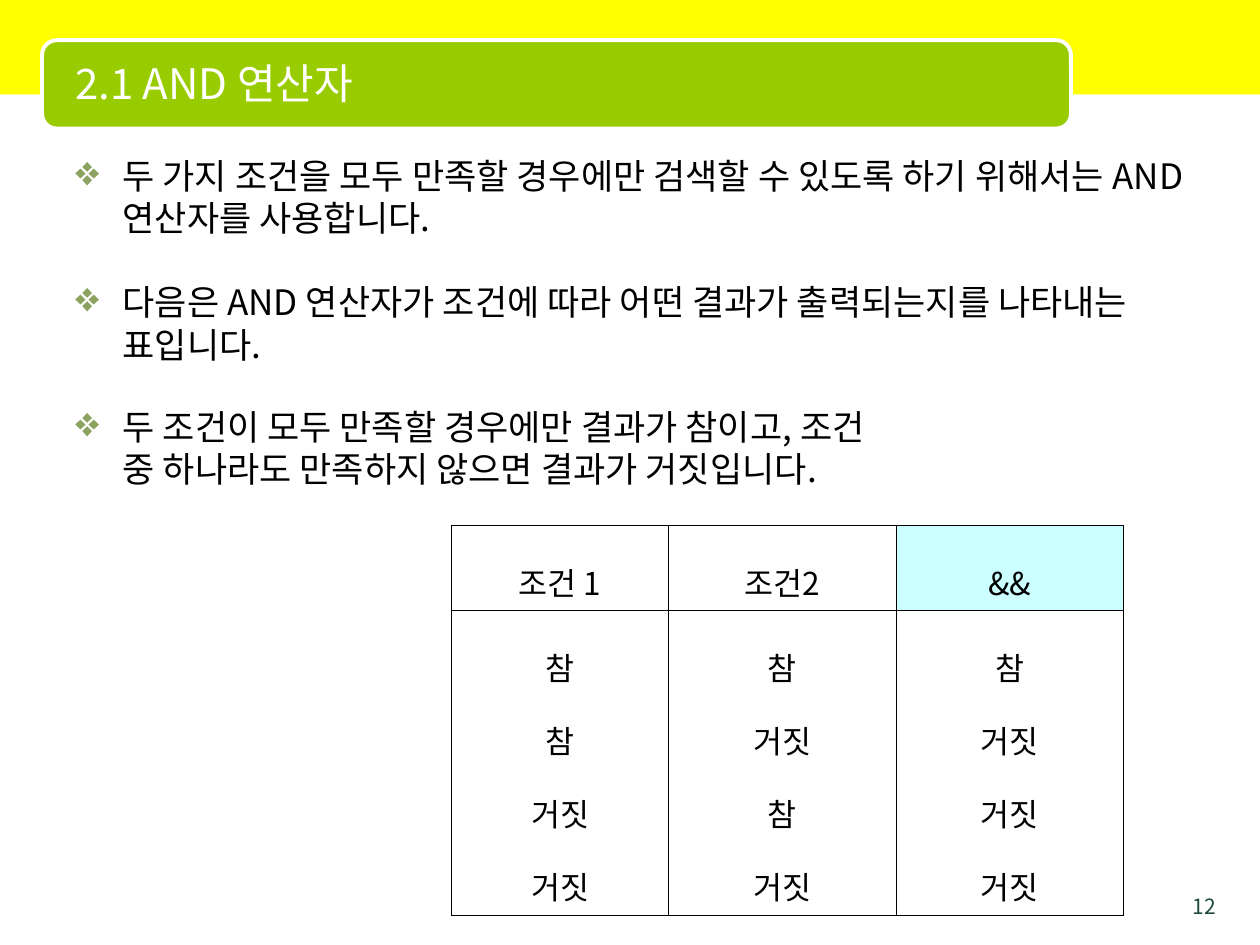
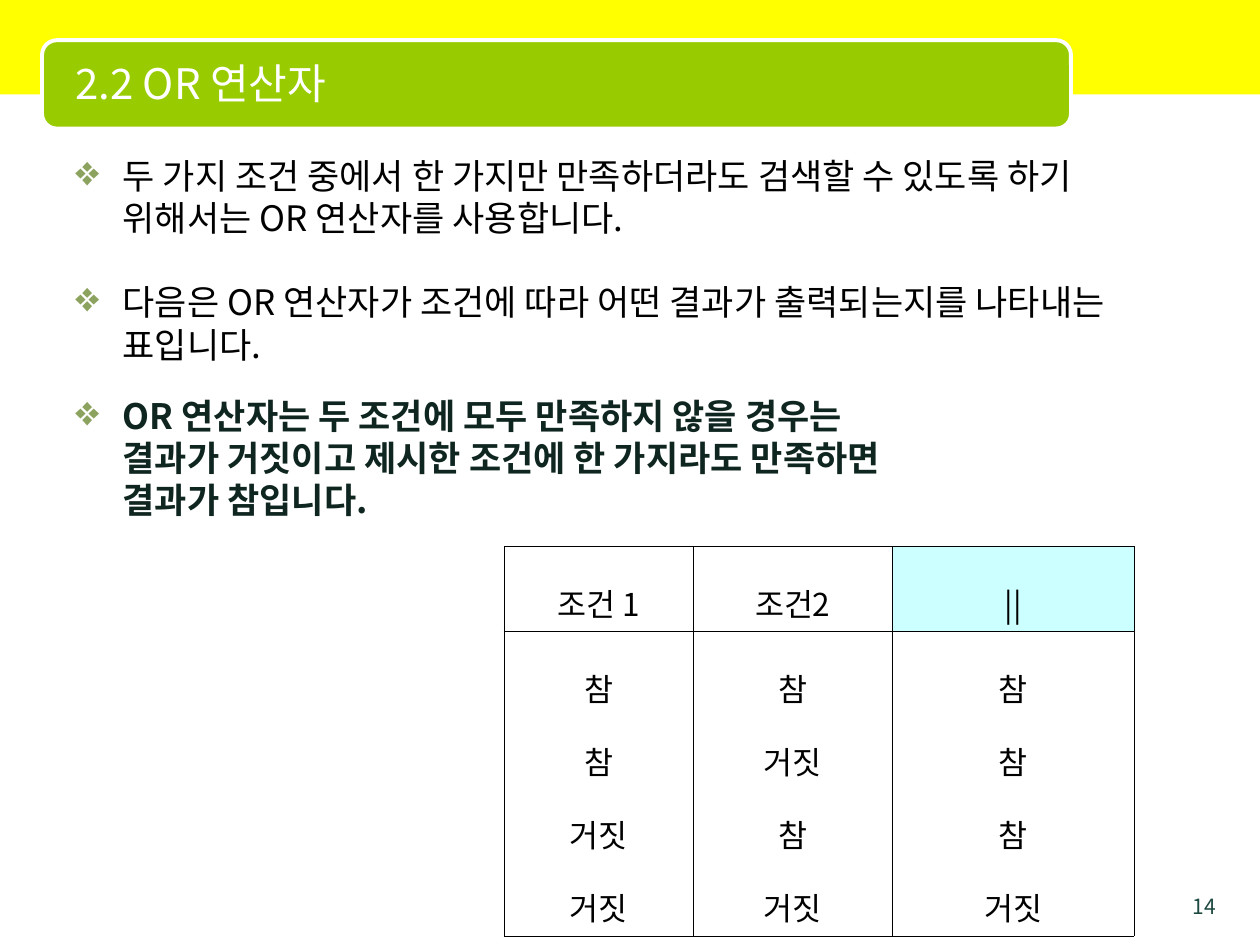
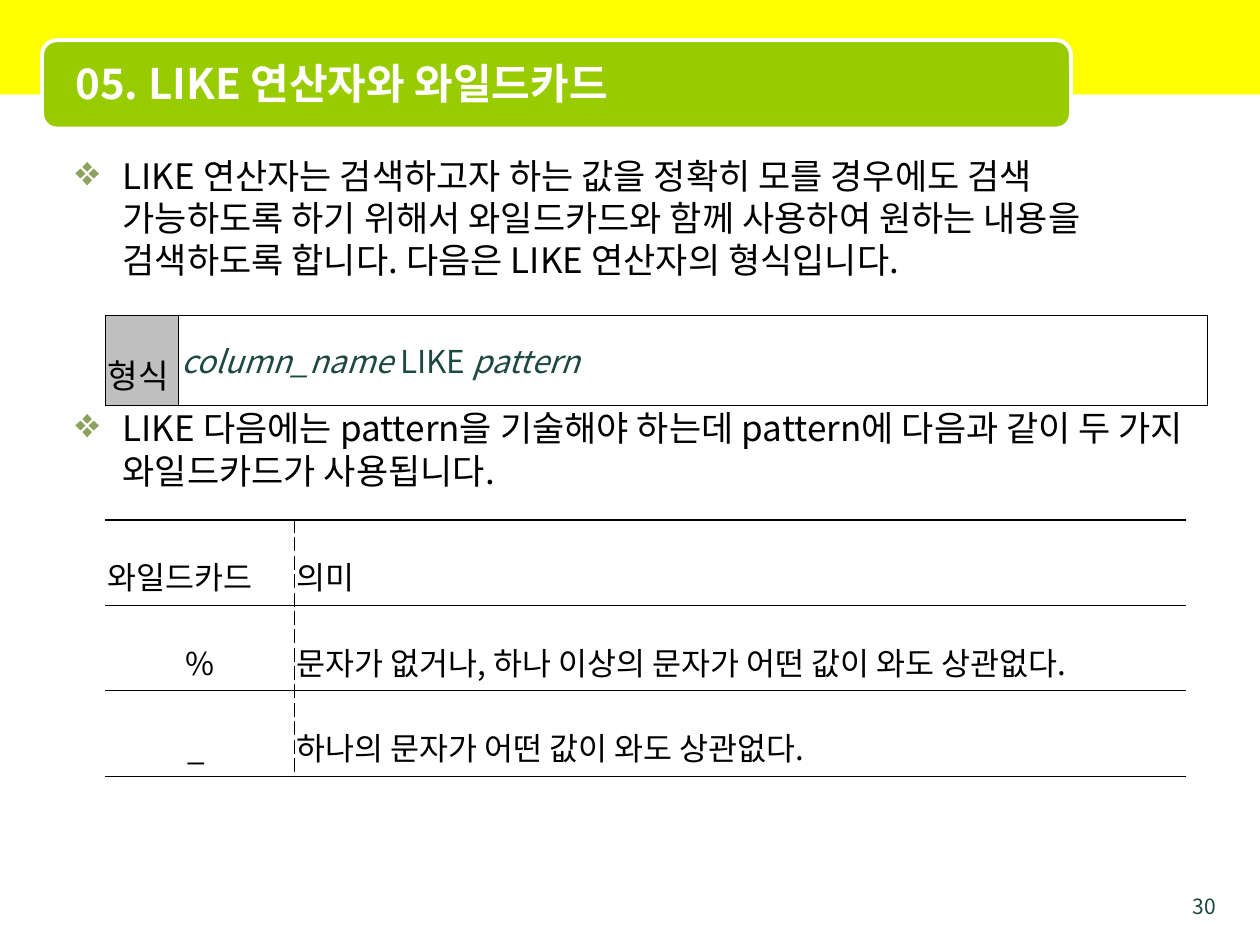
from lxml.etree import SubElement
from pptx import Presentation
from pptx.dml.color import RGBColor
from pptx.enum.shapes import MSO_SHAPE
from pptx.enum.text import MSO_ANCHOR, PP_ALIGN
from pptx.oxml.ns import qn
from pptx.util import Pt

FONT = "Noto Sans CJK KR"
C = {
    "band": "FFFF00", "title_bar": "99CC00", "white": "FFFFFF", "black": "000000",
    "number": "1D4940", "bullet": "8CA35F", "strong": "0E2520",
    "operator": "CCFFFF", "label": "C0C0C0",
}
LEFT, CENTER, RIGHT, JUSTIFY = PP_ALIGN.LEFT, PP_ALIGN.CENTER, PP_ALIGN.RIGHT, PP_ALIGN.JUSTIFY
HAIR, THICK, DASH = (0.11, "solid"), (0.96, "solid"), (0.28, "dash")
ROW, TALL_ROW = 48.8, 174.2  # heights that hold one and four lines of cell text
T, F = "참", "거짓"
CONDITIONS = [[T, T, F, F], [T, F, T, F]]


# ---- Content ----
# A cell is (lines, alignment, fill, size); a line is a list of (text, italic) runs.
def cell(lines, align=CENTER, fill=None, size=18):
    lines = [lines] if isinstance(lines, str) else lines
    return [[(x, False)] if isinstance(x, str) else x for x in lines], align, fill, size


def truth_table(left, top, cols, operator, results):
    head = [cell("조건 1"), cell("조건2"), cell(operator, fill="operator")]
    return dict(left=left, top=top, cols=cols, heights=[ROW, TALL_ROW],
                rows=[head, [cell(v) for v in CONDITIONS + [results]]], grid=True)


WILDCARDS = [
    ("와일드카드", "의미"),
    ("%", "문자가 없거나, 하나 이상의 문자가 어떤 값이 와도 상관없다."),
    ("_ ", "하나의 문자가 어떤 값이 와도 상관없다."),
]

SLIDES = [
    dict(
        number="12", title="2.1 AND 연산자",
        blocks=[
            dict(top=85, width=648, texts=[
                "두 가지 조건을 모두 만족할 경우에만 검색할 수 있도록 하기 위해서는 AND 연산자를 사용합니다.",
                "다음은 AND 연산자가 조건에 따라 어떤 결과가 출력되는지를 나타내는 표입니다."]),
            dict(top=228, width=486, texts=[
                "두 조건이 모두 만족할 경우에만 결과가 참이고, 조건 중 하나라도 만족하지 않으면 결과가 거짓입니다."]),
        ],
        tables=[truth_table(258, 300, [124, 130, 130], "&&", [T, F, F, F])],
    ),
    dict(
        number="14", title="2.2 OR 연산자",
        blocks=[
            dict(top=85, width=624, texts=[
                "두 가지 조건 중에서 한 가지만 만족하더라도 검색할 수 있도록 하기 위해서는 OR 연산자를 사용합니다.",
                "다음은 OR 연산자가 조건에 따라 어떤 결과가 출력되는지를 나타내는 표입니다."]),
            dict(top=222, width=486, strong=True, texts=[
                "OR 연산자는 두 조건에 모두 만족하지 않을 경우는 결과가 거짓이고 제시한 조건에 한 가지라도 만족하면 결과가 참입니다."]),
        ],
        tables=[truth_table(288, 312, [108, 114, 138], "||", [T, T, T, F])],
    ),
    dict(
        number="30", title="05. LIKE 연산자와 와일드카드", bold_title=True,
        blocks=[
            dict(top=85, width=648, gap=72, texts=[
                "LIKE 연산자는 검색하고자 하는 값을 정확히 모를 경우에도 검색 가능하도록 하기 위해서 와일드카드와 함께 사용하여 원하는 내용을 검색하도록 합니다. 다음은 LIKE 연산자의 형식입니다.",
                "LIKE 다음에는 pattern을 기술해야 하는데 pattern에 다음과 같이 두 가지 와일드카드가 사용됩니다."]),
        ],
        tables=[
            dict(left=60, top=180, cols=[42, 588], heights=[51.4], grid=True, rows=[[
                cell("형식", JUSTIFY, "label", 19),
                cell([[("column_name", True), (" LIKE ", False), ("pattern", True)]], LEFT)]]),
            dict(left=60, top=297, cols=[108, 510], heights=[ROW] * 3, grid=False, rows=[
                [cell(sign, CENTER if i else JUSTIFY, "white"), cell(meaning, JUSTIFY, "white")]
                for i, (sign, meaning) in enumerate(WILDCARDS)]),
        ],
    ),
]


# ---- Helpers ----
def rgb(name):
    return RGBColor.from_string(C[name])


def add_run(p, text, size, color, bold=False, italic=False):
    r = p.add_run()
    r.text = text
    f = r.font
    f.size, f.bold, f.italic, f.name = Pt(size), bold, italic, FONT
    f.color.rgb = rgb(color)
    rPr = r._r.get_or_add_rPr()
    rPr.set("kern", "0")
    SubElement(rPr, qn("a:ea"), typeface=FONT)


def add_text(s, box, anchor=MSO_ANCHOR.TOP):
    tf = s.shapes.add_textbox(*map(Pt, box)).text_frame
    tf.word_wrap = True
    tf.vertical_anchor = anchor
    return tf


def add_box(s, kind, box, fill, line=None):
    sp = s.shapes.add_shape(kind, *map(Pt, box))
    sp.shadow.inherit = False
    sp.fill.solid()
    sp.fill.fore_color.rgb = rgb(fill)
    if line:
        sp.line.color.rgb = rgb(line)
        sp.line.width = Pt(2.25)
    else:
        sp.line.fill.background()


def add_frame(s, title, number, bold):
    add_box(s, MSO_SHAPE.RECTANGLE, (0, 0, 720, 54), "band")
    add_box(s, MSO_SHAPE.ROUNDED_RECTANGLE, (24, 23, 588, 50.5), "title_bar", "white")
    tf = add_text(s, (36, 25, 570, 45), MSO_ANCHOR.MIDDLE)
    add_run(tf.paragraphs[0], title, 24, "white", bold)
    p = add_text(s, (666, 507, 36, 15)).paragraphs[0]
    p.alignment = RIGHT
    add_run(p, number, 12, "number")


def add_bullets(s, top, width, texts, gap=24, strong=False):
    tf = add_text(s, (36, top, width, 160))
    for i, text in enumerate(texts):
        p = tf.add_paragraph() if i else tf.paragraphs[0]
        p.line_spacing = Pt(24)
        p.space_before = Pt(gap if i else 0)
        pPr = p._p.get_or_add_pPr()
        pPr.set("marL", str(Pt(27)))
        pPr.set("indent", str(-Pt(27)))
        SubElement(SubElement(pPr, qn("a:buClr")), qn("a:srgbClr"), val=C["bullet"])
        SubElement(pPr, qn("a:buSzPct"), val="120000")
        SubElement(pPr, qn("a:buChar"), char="❖")
        add_run(p, text, 20, "strong" if strong else "black", strong)


def set_borders(c, borders):
    tcPr = c._tc.get_or_add_tcPr()
    for side in ("L", "R", "T", "B"):
        width, dash = borders.get(side, (0, None))
        ln = SubElement(tcPr, qn(f"a:ln{side}"), w=str(Pt(width)))
        if dash is None:
            SubElement(ln, qn("a:noFill"))
            continue
        SubElement(SubElement(ln, qn("a:solidFill")), qn("a:srgbClr"), val=C["black"])
        SubElement(ln, qn("a:prstDash"), val=dash)


def cell_borders(grid, row, col):
    if grid:
        return dict.fromkeys("LRTB", HAIR)
    return {"T": HAIR if row else THICK, "B": HAIR, "L" if col else "R": DASH}


def fill_cell(c, lines, align, fill, size):
    c.margin_left = c.margin_right = Pt(1.5)
    c.margin_top = c.margin_bottom = Pt(3.6)
    c.vertical_anchor = MSO_ANCHOR.MIDDLE
    if fill:
        c.fill.solid()
        c.fill.fore_color.rgb = rgb(fill)
    else:
        c.fill.background()
    for i, runs in enumerate(lines):
        p = c.text_frame.add_paragraph() if i else c.text_frame.paragraphs[0]
        p.alignment = align
        syntax = len(runs) > 1
        if not syntax:
            p.line_spacing = 1.6
        for text, italic in runs:
            add_run(p, text, size, "number" if syntax else "black", italic=italic)


def add_grid(s, left, top, cols, heights, rows, grid):
    box = map(Pt, (left, top, sum(cols), sum(heights)))
    table = s.shapes.add_table(len(rows), len(cols), *box).table
    table.first_row = table.horz_banding = False
    for column, width in zip(table.columns, cols):
        column.width = Pt(width)
    for i, row in enumerate(rows):
        table.rows[i].height = Pt(heights[i])
        for j, content in enumerate(row):
            c = table.cell(i, j)
            set_borders(c, cell_borders(grid, i, j))
            fill_cell(c, *content)


# ---- Build ----
def main():
    prs = Presentation()
    prs.slide_width, prs.slide_height = Pt(720), Pt(540)
    for page in SLIDES:
        s = prs.slides.add_slide(prs.slide_layouts[6])
        add_frame(s, page["title"], page["number"], page.get("bold_title", False))
        for block in page["blocks"]:
            add_bullets(s, **block)
        for table in page["tables"]:
            add_grid(s, **table)
    prs.save("out.pptx")


if __name__ == "__main__":
    main()
